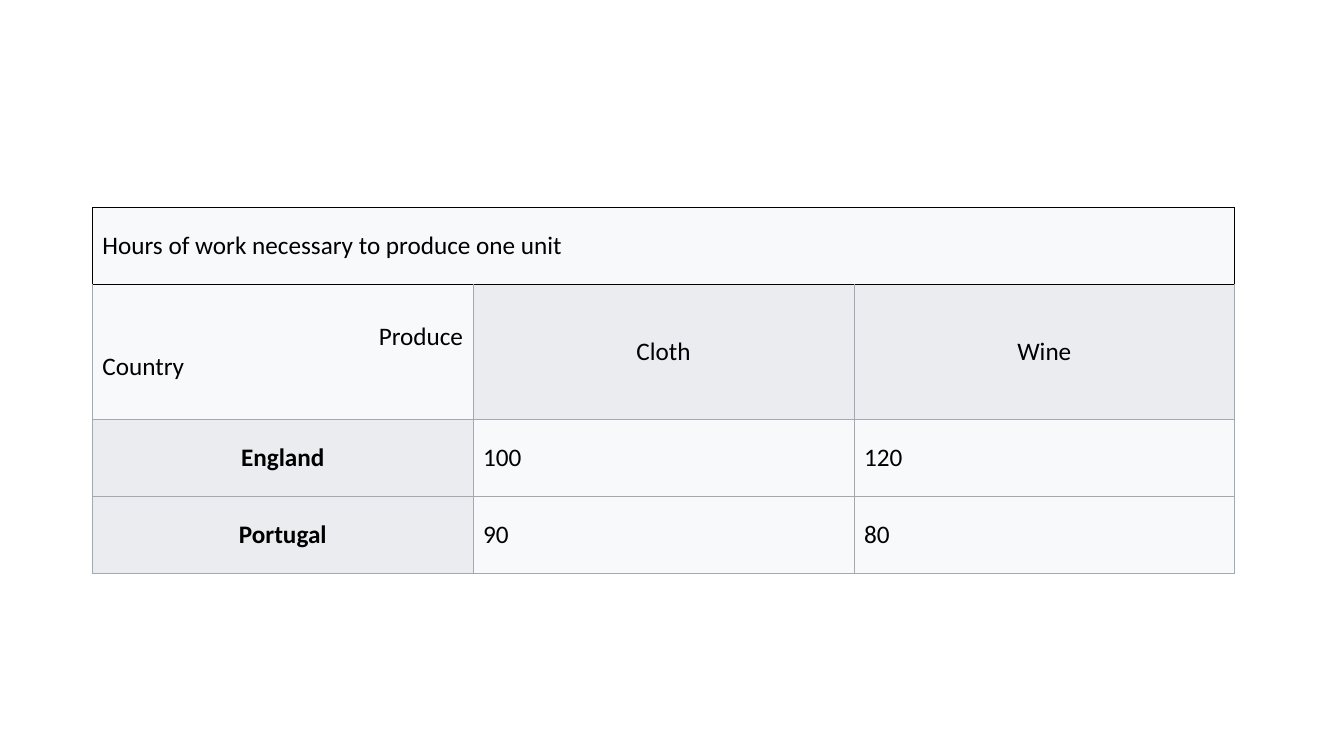
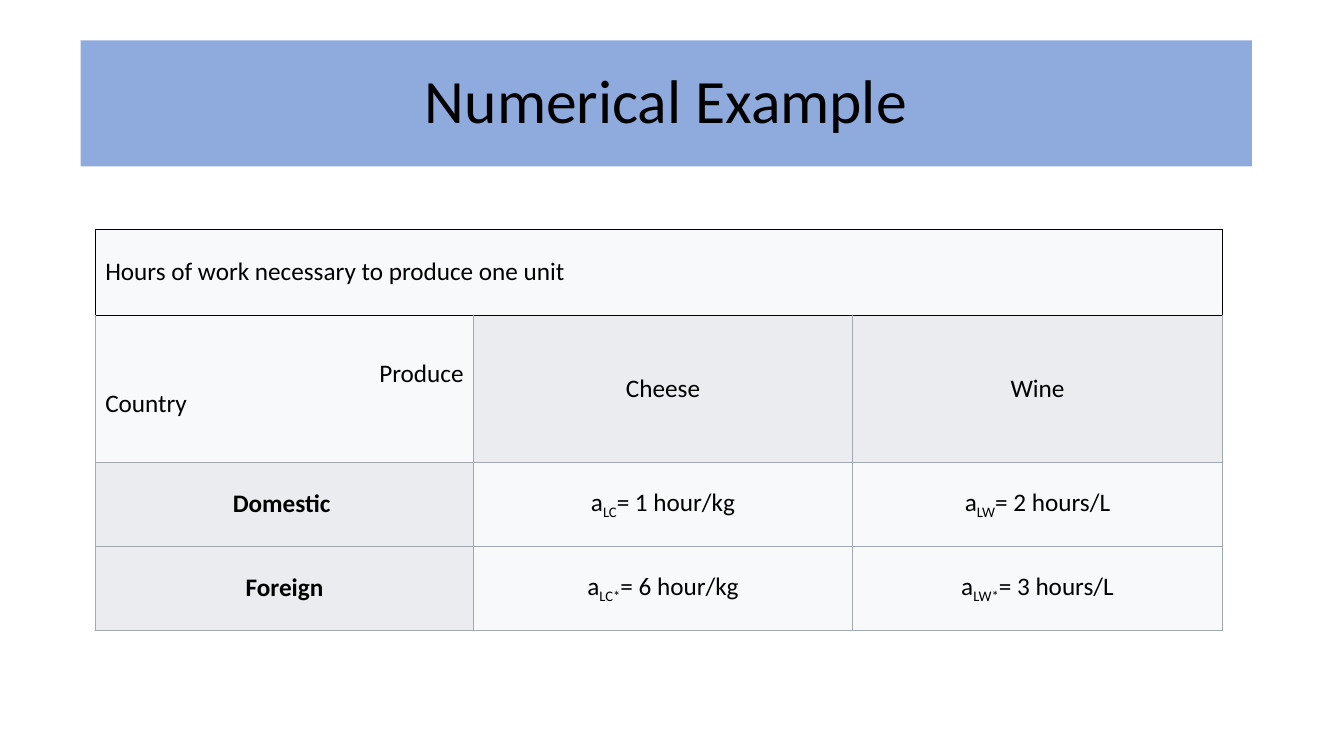
from lxml import etree
from pptx import Presentation
from pptx.dml.color import RGBColor
from pptx.enum import shapes, text
from pptx.oxml import ns
from pptx.util import Pt

BLACK = RGBColor(0x00, 0x00, 0x00)
GREY_LINE = RGBColor(0xA2, 0xA9, 0xB1)
PALE = RGBColor(0xF8, 0xF9, 0xFA)
HEADER = RGBColor(0xEA, 0xEC, 0xF0)
BAND = RGBColor(0x8F, 0xAA, 0xDC)

LEFT, CENTER, RIGHT = text.PP_ALIGN.LEFT, text.PP_ALIGN.CENTER, text.PP_ALIGN.RIGHT


class Deck:
    """Shared style and the slide being built."""

    FONT = {"name": "Calibri", "size": Pt(18), "bold": False}

    def __init__(self):
        self.presentation = Presentation()
        self.presentation.slide_width = Pt(960)
        self.presentation.slide_height = Pt(540)
        self.slide = None

    def new_slide(self):
        self.slide = self.presentation.slides.add_slide(self.presentation.slide_layouts[6])

    def fill_paragraph(self, paragraph, content, align, **changes):
        """Fill one paragraph; parts between bars become subscripts."""
        paragraph.alignment = align
        for index, part in enumerate(content.split("|")):
            run = paragraph.add_run()
            run.text = part
            for name, value in {**self.FONT, **changes}.items():
                setattr(run.font, name, value)
            run.font.color.rgb = BLACK
            if index % 2:
                run._r.get_or_add_rPr().set("baseline", "-25000")

    def title(self, content):
        band = self.slide.shapes.add_shape(
            shapes.MSO_SHAPE.RECTANGLE, Pt(57.6), Pt(28.8), Pt(836.6), Pt(90))
        band.shadow.inherit = False
        band.fill.solid()
        band.fill.fore_color.rgb = BAND
        band.line.fill.background()
        band.text_frame.vertical_anchor = text.MSO_ANCHOR.MIDDLE
        paragraph = band.text_frame.paragraphs[0]
        paragraph.line_spacing = 0.9
        self.fill_paragraph(paragraph, content, CENTER, size=Pt(44))

    def border(self, cell, side, color, width):
        line = etree.SubElement(cell._tc.get_or_add_tcPr(), ns.qn(f"a:ln{side}"),
                                w=str(Pt(width)))
        fill = etree.SubElement(line, ns.qn("a:solidFill"))
        etree.SubElement(fill, ns.qn("a:srgbClr"), val=str(color))

    def cell(self, cell, paragraphs, fill, top_color, color, bold=False):
        for side in "LRTB":
            edge = top_color if side == "T" else color
            self.border(cell, side, edge, 0.75 if edge == BLACK else 0.6)
        cell.fill.solid()
        cell.fill.fore_color.rgb = fill
        cell.vertical_anchor = text.MSO_ANCHOR.MIDDLE
        for index, (content, align) in enumerate(paragraphs):
            paragraph = (cell.text_frame.add_paragraph() if index
                         else cell.text_frame.paragraphs[0])
            self.fill_paragraph(paragraph, content, align, bold=bold)

    def hours_table(self, left, top, widths, heights, products, countries, value_align):
        frame = self.slide.shapes.add_table(
            len(heights), len(widths), Pt(left), Pt(top), Pt(sum(widths)), Pt(sum(heights)))
        table = frame.table
        table.first_row = table.horz_banding = False
        for column, width in zip(table.columns, widths):
            column.width = Pt(width)
        for row, height in zip(table.rows, heights):
            row.height = Pt(height)

        # Caption across all columns
        table.cell(0, 0).merge(table.cell(0, len(widths) - 1))
        for column in range(len(widths)):
            caption = [] if column else [("Hours of work necessary to produce one unit", LEFT)]
            self.cell(table.cell(0, column), caption, PALE, BLACK, BLACK)

        # Product headings
        corner = [("Produce", RIGHT), ("Country", LEFT)]
        self.cell(table.cell(1, 0), corner, PALE, BLACK, GREY_LINE)
        for column, product in enumerate(products, 1):
            self.cell(table.cell(1, column), [(product, CENTER)], HEADER, BLACK, GREY_LINE)

        # One row per country
        for row, (country, *values) in enumerate(countries, 2):
            self.cell(table.cell(row, 0), [(country, CENTER)], HEADER,
                      GREY_LINE, GREY_LINE, bold=True)
            for column, value in enumerate(values, 1):
                self.cell(table.cell(row, column), [(value, value_align)], PALE,
                          GREY_LINE, GREY_LINE)


def main():
    deck = Deck()

    # Slide 1: England and Portugal
    deck.new_slide()
    deck.hours_table(
        66, 148.2, [272] * 3, [55, 96.4, 55, 55], ["Cloth", "Wine"],
        [("England", "100", "120"), ("Portugal", "90", "80")], LEFT)

    # Slide 2: domestic and foreign labour
    deck.new_slide()
    deck.title("Numerical Example")
    deck.hours_table(
        68, 163.6, [270.4, 270.4, 264.6], [61.6, 105, 60, 60], ["Cheese", "Wine"],
        [("Domestic ", "a|LC|= 1 hour/kg", "a|LW|= 2 hours/L"),
         ("Foreign", "a|LC*|= 6 hour/kg", "a|LW*|= 3 hours/L")], CENTER)

    deck.presentation.save("out.pptx")


if __name__ == "__main__":
    main()
